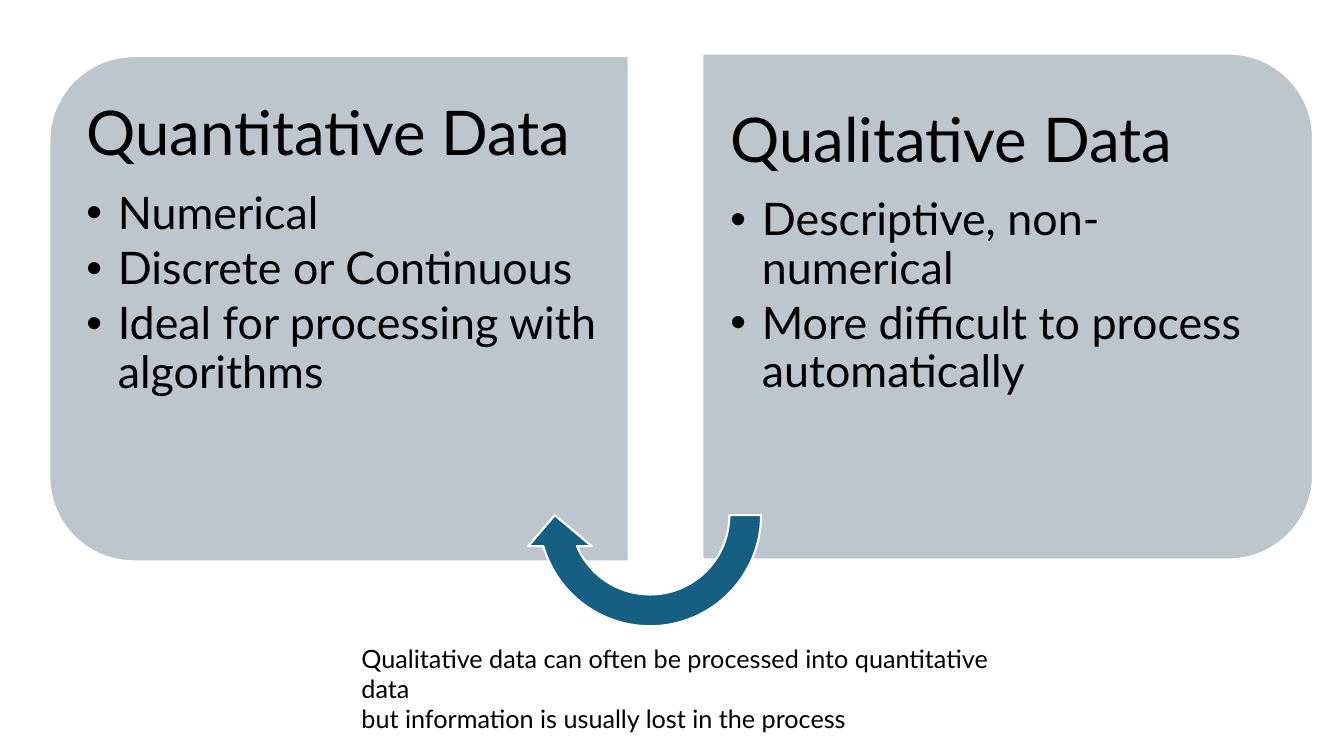
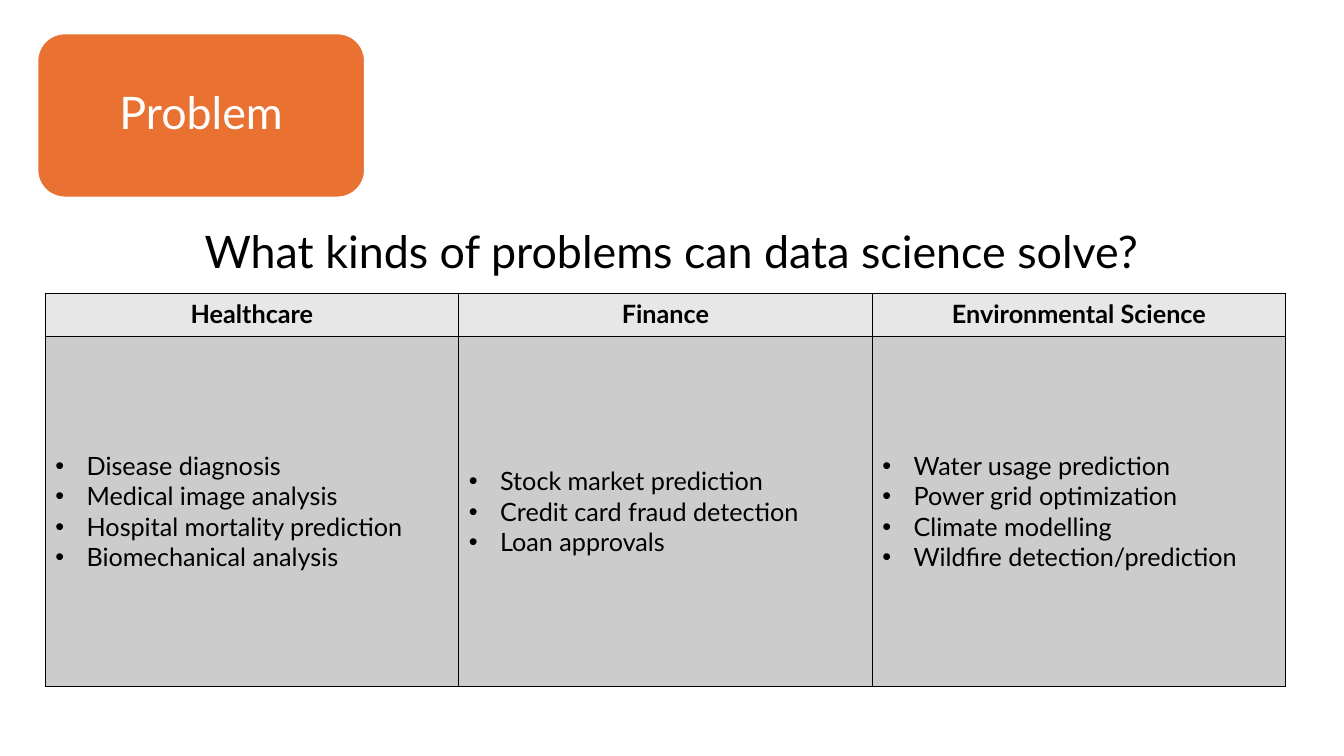
from lxml import etree
from pptx import Presentation
from pptx.dml.color import RGBColor
from pptx.enum.shapes import MSO_SHAPE
from pptx.enum.text import MSO_ANCHOR, MSO_AUTO_SIZE, PP_ALIGN
from pptx.oxml.ns import qn
from pptx.util import Cm, Pt

TOP_ROUNDED = MSO_SHAPE.ROUND_2_SAME_RECTANGLE
ROUNDED = MSO_SHAPE.ROUNDED_RECTANGLE
CIRCULAR_ARROW = MSO_SHAPE.CIRCULAR_ARROW
TOP = MSO_ANCHOR.TOP
MIDDLE = MSO_ANCHOR.MIDDLE
LEFT = PP_ALIGN.LEFT
CENTER = PP_ALIGN.CENTER
NO_AUTOFIT = MSO_AUTO_SIZE.NONE

BLACK = RGBColor(0x00, 0x00, 0x00)
WHITE = RGBColor(0xFF, 0xFF, 0xFF)
PANEL_GREY = RGBColor(0xBD, 0xC5, 0xCD)
TEAL = RGBColor(0x15, 0x60, 0x82)
ORANGE = RGBColor(0xE9, 0x71, 0x32)
HEADER_GREY = RGBColor(0xE7, 0xE7, 0xE7)
BODY_GREY = RGBColor(0xCC, 0xCC, 0xCC)
FONT = "Lato"


def write(paragraph, text, size, color=BLACK, bold=False, bullet=False):
    if bullet:
        properties = paragraph._p.get_or_add_pPr()
        properties.set("marL", str(Cm(0.79)))
        properties.set("indent", str(-Cm(0.79)))
        etree.SubElement(properties, qn("a:buFont")).set("typeface", "Arial")
        etree.SubElement(properties, qn("a:buChar")).set("char", "•")
    run = paragraph.add_run()
    run.text = text
    run.font.name = FONT
    run.font.size = Pt(size)
    run.font.bold = bold
    run.font.color.rgb = color


def add_block(slide, geometry, box, fill, adjustments, rotation=0):
    block = slide.shapes.add_shape(geometry, *[Cm(length) for length in box])
    block.shadow.inherit = False
    block.fill.solid()
    block.fill.fore_color.rgb = fill
    block.line.color.rgb = WHITE
    block.line.width = Pt(1.5)
    block.rotation = rotation
    for index, value in enumerate(adjustments):
        block.adjustments[index] = value
    return block


prs = Presentation()
prs.slide_width = Cm(33.87)
prs.slide_height = Cm(19.05)
title_only = prs.slide_layouts[5]
blank = prs.slide_layouts[6]

data_slide = prs.slides.add_slide(blank)
data_kinds = [
    ("Quantitative Data",
     ["Numerical", "Discrete or Continuous", "Ideal for processing with algorithms"],
     (2.18, 0.48, 12.73, 14.6), 270, (1.85, 2.03, 13.97, 11.48), (0.33, 0.56, 0.51, 0.56)),
    ("Qualitative Data",
     ["Descriptive, non-numerical", "More difficult to process automatically"],
     (19.02, 0.03, 12.75, 15.39), 90, (17.7, 1.96, 14.76, 11.51), (0.71, 0.79, 0.46, 0.79)),
]
for heading, traits, panel_box, rotation, text_box, insets in data_kinds:
    add_block(data_slide, TOP_ROUNDED, panel_box, PANEL_GREY, (0.167, 0), rotation)
    description = data_slide.shapes.add_textbox(*[Cm(length) for length in text_box]).text_frame
    description.word_wrap = True
    description.margin_left, description.margin_top, description.margin_right, description.margin_bottom = [
        Cm(inset) for inset in insets]
    heading_line = description.paragraphs[0]
    heading_line.line_spacing = 0.9
    heading_line.space_after = Pt(15.4)
    write(heading_line, heading, 44)
    for trait in traits:
        trait_line = description.add_paragraph()
        trait_line.level = 1
        trait_line.line_spacing = 0.9
        trait_line.space_after = Pt(4.8)
        write(trait_line, trait, 32, bullet=True)

add_block(data_slide, CIRCULAR_ARROW, (13.18, 9.78, 6.4, 6.4), TEAL,
          (0.125, 11.42, 204.58, 108, 0.125), 180)

caption = data_slide.shapes.add_textbox(Cm(8.86), Cm(16.08), Cm(17.45), Cm(1.8)).text_frame
caption.word_wrap = True
write(caption.paragraphs[0], "Qualitative data can often be processed into quantitative data", 18)
write(caption.add_paragraph(), "but information is usually lost in the process", 18)

problem_slide = prs.slides.add_slide(title_only)
question = problem_slide.shapes.title
question.left, question.top, question.width, question.height = Cm(4.9), Cm(5.51), Cm(25), Cm(1.63)
question.text_frame.word_wrap = True
question.text_frame.auto_size = NO_AUTOFIT
question.text_frame.vertical_anchor = TOP
question_line = question.text_frame.paragraphs[0]
question_line.alignment = LEFT
write(question_line, "What kinds of problems can data science solve?", 32)

problem = add_block(problem_slide, ROUNDED, (0.94, 0.84, 8.26, 4.14), ORANGE, (0.167,))
problem.text_frame.vertical_anchor = MIDDLE
problem_line = problem.text_frame.paragraphs[0]
problem_line.alignment = CENTER
problem_line.line_spacing = 0.9
problem_line.space_after = Pt(11.2)
write(problem_line, "Problem", 32, WHITE)

fields = {
    "Healthcare": ["Disease diagnosis", "Medical image analysis",
                   "Hospital mortality prediction", "Biomechanical analysis"],
    "Finance": ["Stock market prediction", "Credit card fraud detection", "Loan approvals"],
    "Environmental Science": ["Water usage prediction", "Power grid optimization",
                              "Climate modelling", "Wildfire detection/prediction"],
}
applications = problem_slide.shapes.add_table(
    2, len(fields), Cm(1.14), Cm(7.39), Cm(31.26), Cm(9.9)).table
applications.horz_banding = False
applications.rows[0].height = Cm(1.09)
applications.rows[1].height = Cm(8.81)
for column, (field, problems) in enumerate(fields.items()):
    applications.columns[column].width = Cm(10.42)
    header = applications.cell(0, column)
    body = applications.cell(1, column)
    for cell, fill in ((header, HEADER_GREY), (body, BODY_GREY)):
        cell_properties = cell._tc.get_or_add_tcPr()
        for side in ("a:lnL", "a:lnR", "a:lnT", "a:lnB"):
            border = etree.SubElement(cell_properties, qn(side), w=str(Pt(1)))
            border_fill = etree.SubElement(border, qn("a:solidFill"))
            etree.SubElement(border_fill, qn("a:srgbClr"), val=str(BLACK))
        cell.fill.solid()
        cell.fill.fore_color.rgb = fill
    header_line = header.text_frame.paragraphs[0]
    header_line.alignment = CENTER
    write(header_line, field, 18, bold=True)
    body.vertical_anchor = MIDDLE
    for index, example in enumerate(problems):
        example_line = body.text_frame.add_paragraph() if index else body.text_frame.paragraphs[0]
        write(example_line, example, 18, bullet=True)

prs.save("out.pptx")
